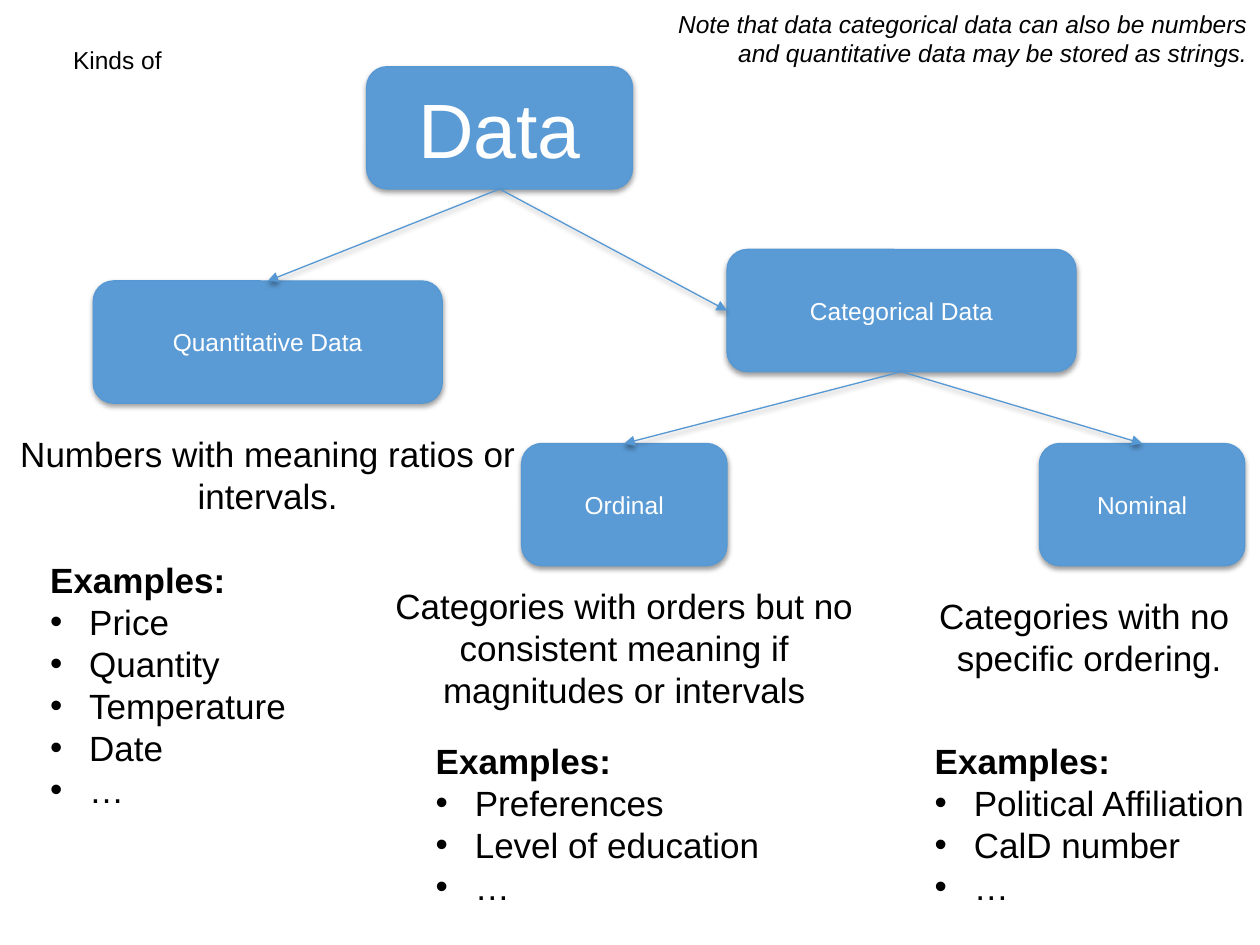
from lxml import etree
from pptx import Presentation
from pptx.dml.color import RGBColor
from pptx.enum.shapes import MSO_CONNECTOR, MSO_SHAPE
from pptx.enum.text import MSO_ANCHOR, PP_ALIGN
from pptx.oxml import parse_xml
from pptx.oxml.ns import nsdecls, qn
from pptx.util import Inches, Pt

COLORS = {"box": "5B9BD5", "line": "5698D3", "text": "000000",
          "box_text": "FFFFFF", "shadow": "000000"}
FONT = "Arial"
BOX_H = 0.97
TOP, LEFT, BOTTOM = 0, 1, 2  # connection sites of a rounded box


def rgb(name):
    return RGBColor.from_string(COLORS[name])


def place(sp, box):
    sp.left, sp.top, sp.width, sp.height = (Inches(v) for v in box)


def add_run(p, text, size, color="text", bold=False, italic=False):
    r = p.add_run()
    r.text = text
    r.font.name, r.font.size = FONT, Pt(size)
    r.font.bold, r.font.italic = bold, italic
    r.font.color.rgb = rgb(color)


def add_shadow(sp):
    spPr = sp._element.spPr
    for old in spPr.findall(qn("a:effectLst")):
        spPr.remove(old)
    spPr.append(parse_xml(
        f'<a:effectLst {nsdecls("a")}><a:outerShdw blurRad="{Pt(3.1)}" '
        f'dist="{Pt(1.6)}" dir="5400000" rotWithShape="0">'
        f'<a:srgbClr val="{COLORS["shadow"]}"><a:alpha val="38000"/></a:srgbClr>'
        '</a:outerShdw></a:effectLst>'))


def add_title(s, box, text):
    title = s.shapes.title
    place(title, box)
    tf = title.text_frame
    tf.vertical_anchor = MSO_ANCHOR.TOP
    p = tf.paragraphs[0]
    p.alignment = PP_ALIGN.LEFT
    add_run(p, text, 14)


def add_node(s, box, text, size=14):
    sp = s.shapes.add_shape(MSO_SHAPE.ROUNDED_RECTANGLE, 0, 0, 0, 0)
    place(sp, box)
    sp.fill.solid()
    sp.fill.fore_color.rgb = rgb("box")
    sp.line.color.rgb = rgb("line")
    sp.line.width = Pt(0.75)
    add_shadow(sp)
    tf = sp.text_frame
    tf.vertical_anchor = MSO_ANCHOR.MIDDLE
    p = tf.paragraphs[0]
    p.alignment = PP_ALIGN.CENTER
    add_run(p, text, size, "box_text")
    return sp


def add_arrow(s, parent, child, site):
    c = s.shapes.add_connector(MSO_CONNECTOR.STRAIGHT, 0, 0, 0, 0)
    c.begin_connect(parent, BOTTOM)
    c.end_connect(child, site)
    c.line.color.rgb = rgb("line")
    c.line.width = Pt(0.75)
    etree.SubElement(c.line._get_or_add_ln(), qn("a:tailEnd"), type="triangle")
    add_shadow(c)


def add_text(s, box, lines, size=20, align=PP_ALIGN.CENTER, italic=False):
    tf = s.shapes.add_textbox(*(Inches(v) for v in box)).text_frame
    tf.word_wrap = True
    for i, line in enumerate(lines):
        p = tf.paragraphs[0] if i == 0 else tf.add_paragraph()
        p.alignment = align
        add_run(p, line, size, italic=italic)


def add_examples(s, box, items):
    """Bold heading followed by a bulleted list."""
    tf = s.shapes.add_textbox(*(Inches(v) for v in box)).text_frame
    tf.word_wrap = True
    add_run(tf.paragraphs[0], "Examples:", 20, bold=True)
    for item in items:
        p = tf.add_paragraph()
        pPr = p._p.get_or_add_pPr()
        pPr.set("marL", str(Inches(0.31)))
        pPr.set("indent", str(-Inches(0.31)))
        etree.SubElement(pPr, qn("a:buFont"), typeface=FONT)
        etree.SubElement(pPr, qn("a:buChar"), char="•")
        add_run(p, item, 20)


def add_tree(s):
    data = add_node(s, (2.91, 0.53, 2.11, BOX_H), "Data", 44)
    quantitative = add_node(s, (0.74, 2.23, 2.77, BOX_H), "Quantitative Data")
    categorical = add_node(s, (5.77, 1.98, 2.77, BOX_H), "Categorical Data")
    ordinal = add_node(s, (4.14, 3.52, 1.63, BOX_H), "Ordinal")
    nominal = add_node(s, (8.25, 3.52, 1.63, BOX_H), "Nominal")
    for parent, child, site in ((data, quantitative, TOP), (data, categorical, LEFT),
                                (categorical, ordinal, TOP), (categorical, nominal, TOP)):
        add_arrow(s, parent, child, site)


def main():
    prs = Presentation()
    prs.slide_width, prs.slide_height = Inches(10), Inches(7.5)
    s = prs.slides.add_slide(prs.slide_layouts[5])
    add_title(s, (0.48, 0.31, 4.15, 1.45), "Kinds of")
    add_tree(s)

    add_text(s, (0, 3.38, 4.25, 0.77), ["Numbers with meaning ratios or intervals."])
    add_text(s, (2.83, 4.59, 4.25, 1.11),
             ["Categories with orders but no consistent meaning if magnitudes or intervals"])
    add_text(s, (6.52, 4.67, 4.25, 0.77), ["Categories with no ", "specific ordering."])

    add_examples(s, (0.3, 4.38, 2.26, 2.12),
                 ["Price", "Quantity", "Temperature", "Date", "…"])
    add_examples(s, (3.36, 5.82, 3.08, 1.45),
                 ["Preferences", "Level of education", "…"])
    add_examples(s, (7.32, 5.82, 2.89, 1.78),
                 ["Political Affiliation", "CalD number", "…"])

    add_text(s, (5.01, 0.02, 4.99, 1.01),
             ["Note that data categorical data can also be numbers "
              "and quantitative data may be stored as strings."],
             14, PP_ALIGN.RIGHT, italic=True)
    prs.save("out.pptx")


if __name__ == "__main__":
    main()
